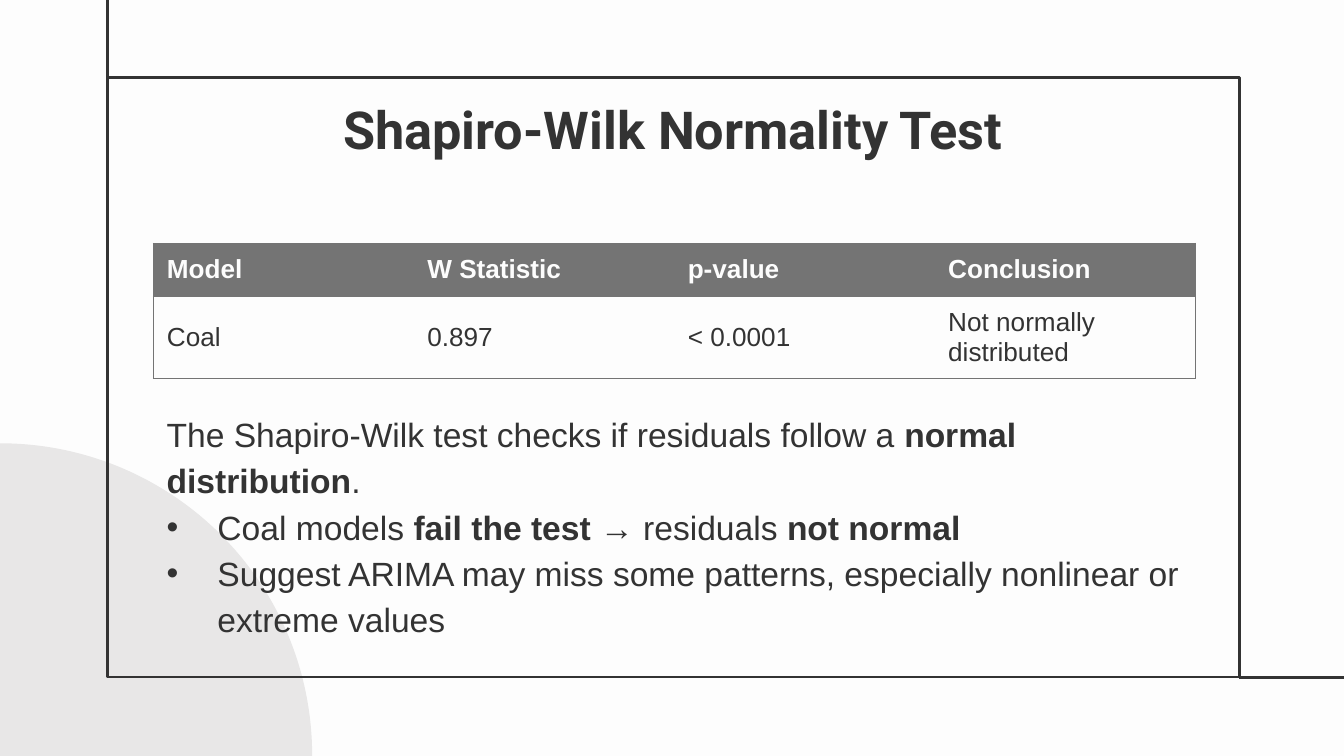
"""Build the Shapiro-Wilk normality test slide."""
from typing import NamedTuple

from lxml.etree import SubElement as Sub
from pptx import Presentation
from pptx.dml.color import RGBColor as Rgb
from pptx.enum.shapes import MSO_CONNECTOR as Link, MSO_SHAPE as Kind
from pptx.enum.text import MSO_ANCHOR as Anchor, MSO_AUTO_SIZE as Fit, PP_ALIGN as Align
from pptx.oxml.ns import qn
from pptx.util import Cm, Pt

HUES = {"back": "FDFDFD", "ink": "333333", "disc": "E8E7E7", "head": "747474"}
WIDE, HIGH = 25.4, 14.29
LEFT, TOP, RIGHT, BASE = 2.03, 1.47, 23.42, 12.8
SIDE, SPAN = 2.9, 19.69


class Box(NamedTuple):
    left: float
    top: float
    width: float
    height: float

    def size(self) -> list:
        return [Cm(v) for v in self]


class Line(NamedTuple):
    x1: float
    y1: float
    x2: float
    y2: float


class Item(NamedTuple):
    runs: list[tuple[str, bool]]
    hang: float = 0


LINES = [Line(LEFT, TOP, LEFT, 0), Line(RIGHT, BASE, WIDE, BASE)]
ROWS = [
    ["Model", "W Statistic", "p-value", "Conclusion"],
    ["Coal", "0.897", "< 0.0001", "Not normally distributed"],
]
TALL = [1, 1.55]
ITEMS = [
    Item([("The Shapiro-Wilk test checks if residuals follow a ", False),
          ("normal distribution", True), (".", False)]),
    Item([("Coal models ", False), ("fail the test", True),
          (" → residuals ", False), ("not normal", True)], 0.96),
    Item([("Suggest ARIMA may miss some patterns, especially nonlinear or "
           "extreme values", False)], 0.96),
]


def hue(name: str) -> Rgb:
    return Rgb.from_string(HUES[name])


def write(para, text: str, *, size: float, font: str = "Arial",
          color: str = "ink", bold: bool = False) -> None:
    run = para.add_run()
    run.text = text
    run.font.size, run.font.name, run.font.bold = Pt(size), font, bold
    run.font.color.rgb = hue(color)


def stroke(line) -> None:
    line.color.rgb = hue("ink")
    line.width = Pt(1.5)


def draw(slide, kind, box: Box, fill: str = ""):
    shape = slide.shapes.add_shape(kind, *box.size())
    shape.shadow.inherit = False
    if fill:
        shape.fill.solid()
        shape.fill.fore_color.rgb = hue(fill)
        shape.line.fill.background()
    else:
        shape.fill.background()
        stroke(shape.line)


def rule(slide, line: Line) -> None:
    link = slide.shapes.add_connector(Link.STRAIGHT, *[Cm(v) for v in line])
    stroke(link.line)
    Sub(link._element.spPr, qn("a:effectLst"))


def place(slide, shape, box: Box, anchor):
    """Move a placeholder to the front and return its text frame."""
    slide.shapes._spTree.append(shape._element)
    shape.left, shape.top, shape.width, shape.height = box.size()
    frame = shape.text_frame
    frame.word_wrap, frame.auto_size = True, Fit.NONE
    frame.vertical_anchor = anchor
    frame.margin_left = frame.margin_right = Cm(0.25)
    frame.margin_top = frame.margin_bottom = Cm(0.25)
    return frame


def space(para) -> None:
    para.line_spacing = 1.15
    para.space_before = para.space_after = Pt(0)


def hang(para, depth: float) -> None:
    props = para._p.get_or_add_pPr()
    props.set("marL", str(Cm(depth)))
    props.set("indent", str(-Cm(depth)))
    if depth:
        Sub(props, qn("a:buFont"), typeface="Arial")
        Sub(props, qn("a:buChar"), char="•")
    else:
        Sub(props, qn("a:buNone"))


def edge(cell, sides: dict[str, bool]) -> None:
    props = cell._tc.get_or_add_tcPr()
    for side, shown in sides.items():
        line = Sub(props, qn(f"a:ln{side}"), w=str(Pt(0.75)))
        if shown:
            fill = Sub(line, qn("a:solidFill"))
            Sub(fill, qn("a:srgbClr"), val=HUES["head"])
        else:
            Sub(line, qn("a:noFill"))


def grid(slide, box: Box) -> None:
    wide = len(ROWS[0])
    table = slide.shapes.add_table(len(ROWS), wide, *box.size()).table
    table.first_row = table.horz_banding = False
    for col in table.columns:
        col.width = Cm(box.width / wide)
    for r, row in enumerate(ROWS):
        table.rows[r].height = Cm(TALL[r])
        for c, text in enumerate(row):
            cell, head = table.cell(r, c), r == 0
            cell.vertical_anchor = Anchor.MIDDLE
            edge(cell, {"L": c == 0, "R": c == wide - 1, "T": True, "B": True})
            if head:
                cell.fill.solid()
                cell.fill.fore_color.rgb = hue("head")
            else:
                cell.fill.background()
            write(cell.text_frame.paragraphs[0], text, size=14, bold=head,
                  color="back" if head else "ink")


def main() -> None:
    deck = Presentation()
    deck.slide_width, deck.slide_height = Cm(WIDE), Cm(HIGH)
    slide = deck.slides.add_slide(deck.slide_layouts[1])
    slide.background.fill.solid()
    slide.background.fill.fore_color.rgb = hue("back")

    draw(slide, Kind.OVAL, Box(-5.89, 8.38, 11.79, 11.79), "disc")
    draw(slide, Kind.RECTANGLE, Box(LEFT, TOP, RIGHT - LEFT, BASE - TOP))
    for line in LINES:
        rule(slide, line)

    body = place(slide, slide.placeholders[1], Box(SIDE, 8, SPAN, 4.34), Anchor.BOTTOM)
    for i, item in enumerate(ITEMS):
        para = body.add_paragraph() if i else body.paragraphs[0]
        space(para)
        hang(para, item.hang)
        for text, bold in item.runs:
            write(para, text, size=18, bold=bold)

    title = place(slide, slide.shapes.title, Box(4.5, 1.42, 16.43, 1.65), Anchor.TOP)
    para = title.paragraphs[0]
    para.alignment = Align.CENTER
    space(para)
    write(para, "Shapiro-Wilk Normality Test", size=28, font="Roboto", bold=True)

    grid(slide, Box(SIDE, 4.6, SPAN, sum(TALL)))
    deck.save("out.pptx")


if __name__ == "__main__":
    main()
